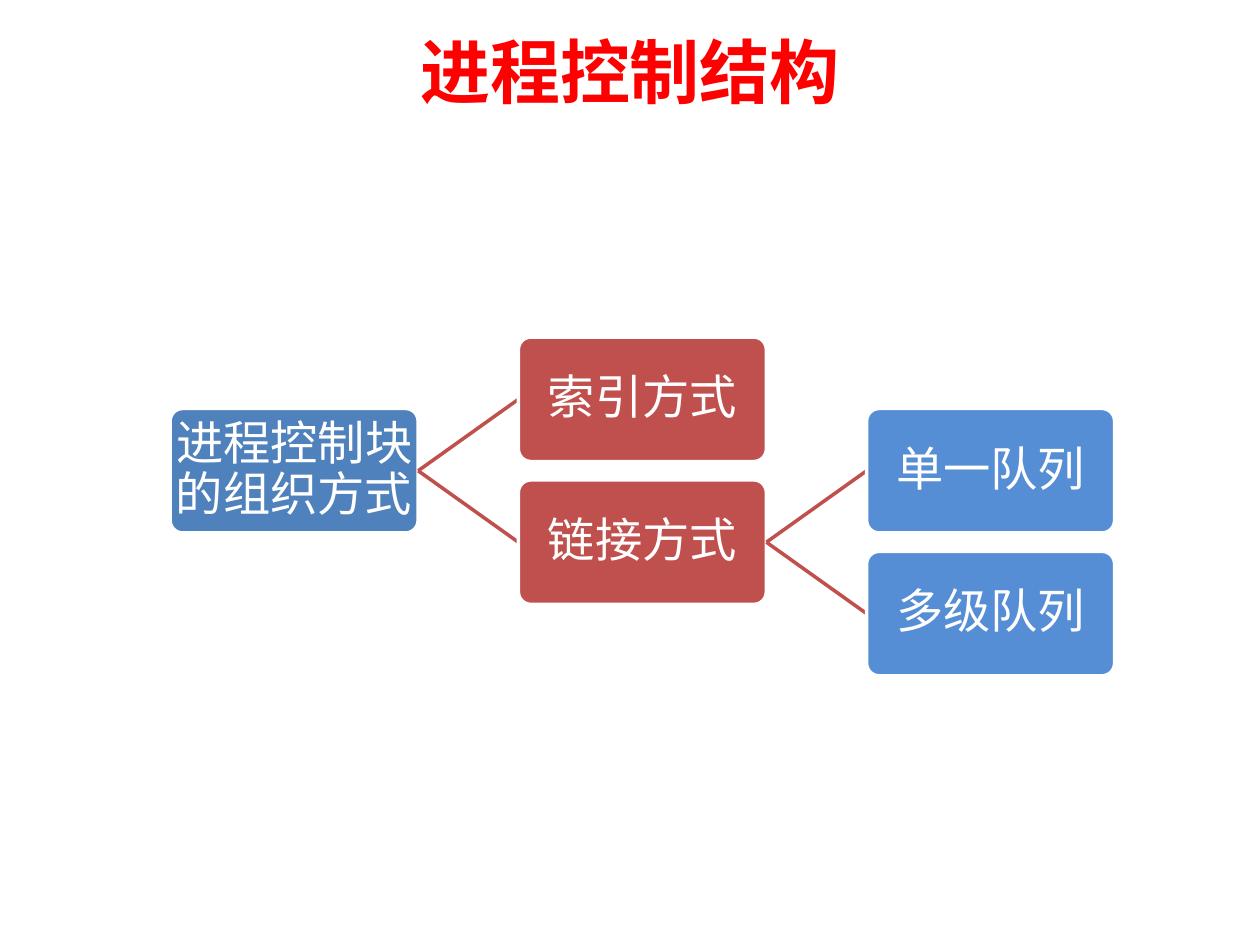
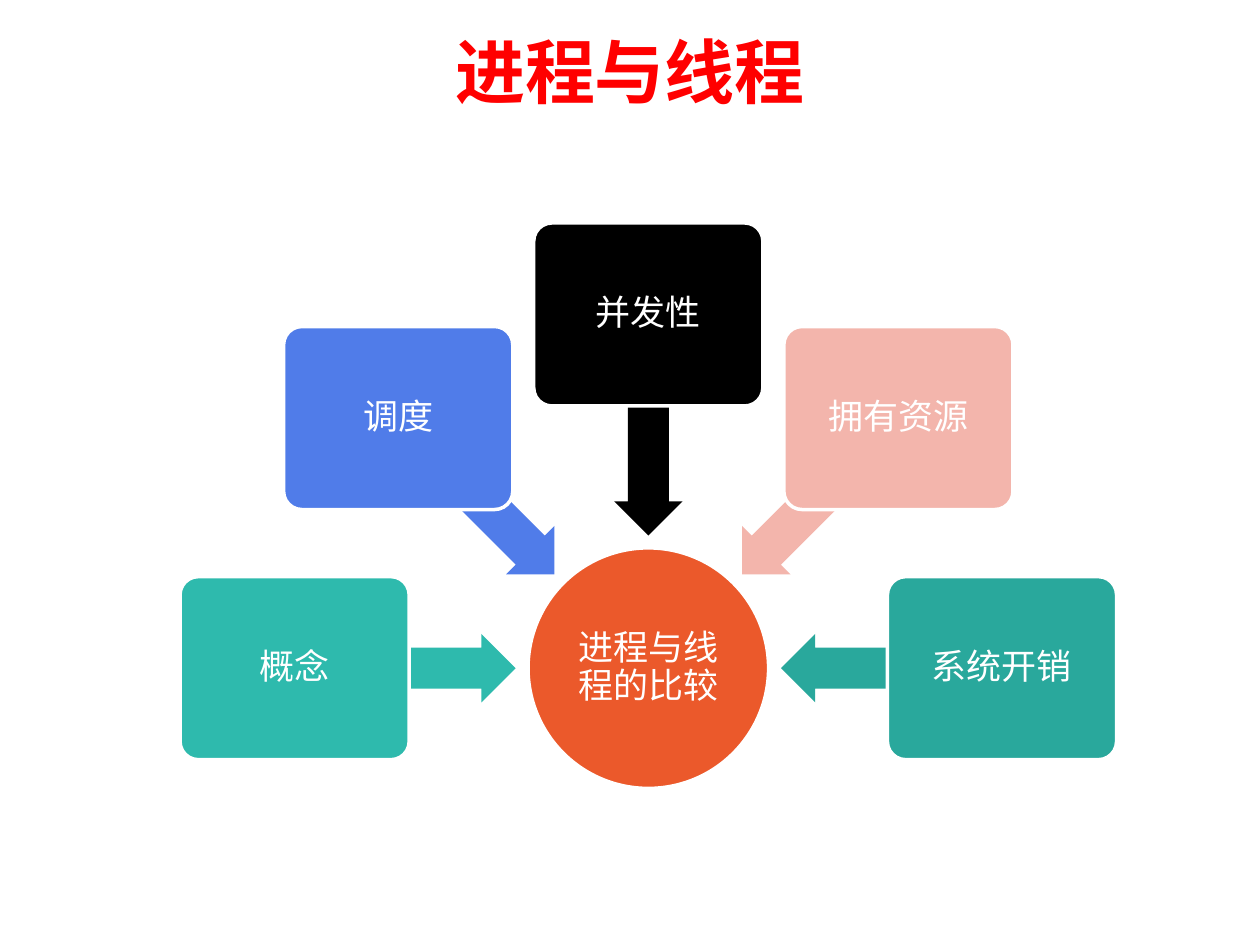
from math import cos, radians, sin

from lxml.etree import SubElement
from pptx import Presentation
from pptx.dml.color import RGBColor
from pptx.enum.shapes import MSO_CONNECTOR, MSO_SHAPE
from pptx.enum.text import MSO_ANCHOR, PP_ALIGN
from pptx.oxml.ns import qn
from pptx.util import Cm, Pt

COLOURS = {
    "title": "FF0000", "white": "FFFFFF",
    "root": "4F81BD", "method": "C0504D", "queue": "558ED5",
    "hub": "EB592B", "concept": "2EBAAD", "schedule": "507CE9",
    "concurrency": "000000", "resource": "F3B5AC", "overhead": "29A89C",
}


def colour(name):
    return RGBColor.from_string(COLOURS[name])


def write(shape, text, font="Arial", points=20, ink="white", bold=False,
          inset=0.1, spacing=0.9):
    frame = shape.text_frame
    frame.word_wrap = True
    frame.vertical_anchor = MSO_ANCHOR.MIDDLE
    frame.margin_left = frame.margin_right = Cm(inset)
    frame.margin_top = frame.margin_bottom = Cm(inset)
    para = frame.paragraphs[0]
    para.alignment = PP_ALIGN.CENTER
    para.line_spacing = spacing
    span = para.add_run()
    span.text = text
    span.font.name = font
    span.font.size = Pt(points)
    span.font.bold = bold
    span.font.color.rgb = colour(ink)


class Painter:
    """Holds the deck's style and the page being drawn."""

    line_width = Pt(2)

    def __init__(self):
        self.deck = Presentation()
        self.deck.slide_width, self.deck.slide_height = Cm(25.4), Cm(19.05)
        self.page = None

    def new_page(self, title):
        self.page = self.deck.slides.add_slide(self.deck.slide_layouts[6])
        box = self.page.shapes.add_textbox(Cm(0), Cm(0.13), Cm(25.4), Cm(2.59))
        write(box, title, font="Times New Roman", points=40, ink="title",
              bold=True, spacing=1.0)

    def shape(self, kind, centre, size, fill, outlined=True):
        (x, y), (width, height) = centre, size
        shape = self.page.shapes.add_shape(
            kind, Cm(x - width / 2), Cm(y - height / 2), Cm(width), Cm(height))
        shape.shadow.inherit = False
        shape.fill.solid()
        shape.fill.fore_color.rgb = colour(fill)
        if outlined:
            shape.line.color.rgb = colour("white")
            shape.line.width = self.line_width
        else:
            shape.line.fill.background()
        return shape

    def card(self, centre, size, fill, text, **style):
        card = self.shape(MSO_SHAPE.ROUNDED_RECTANGLE, centre, size, fill)
        card.adjustments[0] = 0.1
        write(card, text, **style)

    def disc(self, centre, diameter, fill, text, **style):
        disc = self.shape(MSO_SHAPE.OVAL, centre, (diameter, diameter), fill)
        write(disc, text, **style)

    def arrow(self, centre, size, fill, rotation):
        arrow = self.shape(MSO_SHAPE.LEFT_ARROW, centre, size, fill, outlined=False)
        arrow.adjustments[0], arrow.adjustments[1] = 0.6, 0.5
        arrow.rotation = rotation

    def link(self, start, end, ink):
        link = self.page.shapes.add_connector(
            MSO_CONNECTOR.STRAIGHT, *(Cm(length) for length in (*start, *end)))
        link.line.color.rgb = colour(ink)
        link.line.width = self.line_width
        SubElement(link._element.spPr, qn("a:effectLst"))


def draw_organisation_tree(painter):
    painter.new_page("进程控制结构")
    width, height = 5.0, 2.51
    # text, column, half-row, fill, parent
    nodes = [
        ("进程控制块的组织方式", 0, 1, "root", None),
        ("索引方式", 1, 0, "method", "进程控制块的组织方式"),
        ("链接方式", 1, 2, "method", "进程控制块的组织方式"),
        ("单一队列", 2, 1, "queue", "链接方式"),
        ("多级队列", 2, 3, "queue", "链接方式"),
    ]
    centres = {}
    for text, column, row, fill, parent in nodes:
        x, y = centres[text] = (5.93 + 7.02 * column, 8.05 + 1.44 * row)
        if parent:
            parent_x, parent_y = centres[parent]
            painter.link((parent_x + width / 2, parent_y), (x - width / 2, y), "method")
        painter.card((x, y), (width, height), fill, text,
                     font="Calibri", points=27, inset=0.02)


def draw_comparison_wheel(painter):
    painter.new_page("进程与线程")
    hub_x, hub_y = 13.07, 13.47
    painter.disc((hub_x, hub_y), 4.85, "hub", "进程与线程的比较", inset=0.03)

    def around(radius, angle):
        turn = radians(angle)
        return hub_x + radius * cos(turn), hub_y + radius * sin(turn)

    # Aspects run clockwise from the left, 45 degrees apart
    aspects = [("概念", "concept"), ("调度", "schedule"), ("并发性", "concurrency"),
               ("拥有资源", "resource"), ("系统开销", "overhead")]
    for index, (text, fill) in enumerate(aspects):
        angle = 180 + 45 * index
        painter.arrow(around(4.9, angle), (4.45, 1.38), fill, angle % 360)
        painter.card(around(7.13, angle), (4.62, 3.69), fill, text)


def main():
    painter = Painter()
    draw_organisation_tree(painter)
    draw_comparison_wheel(painter)
    painter.deck.save("out.pptx")


if __name__ == "__main__":
    main()
